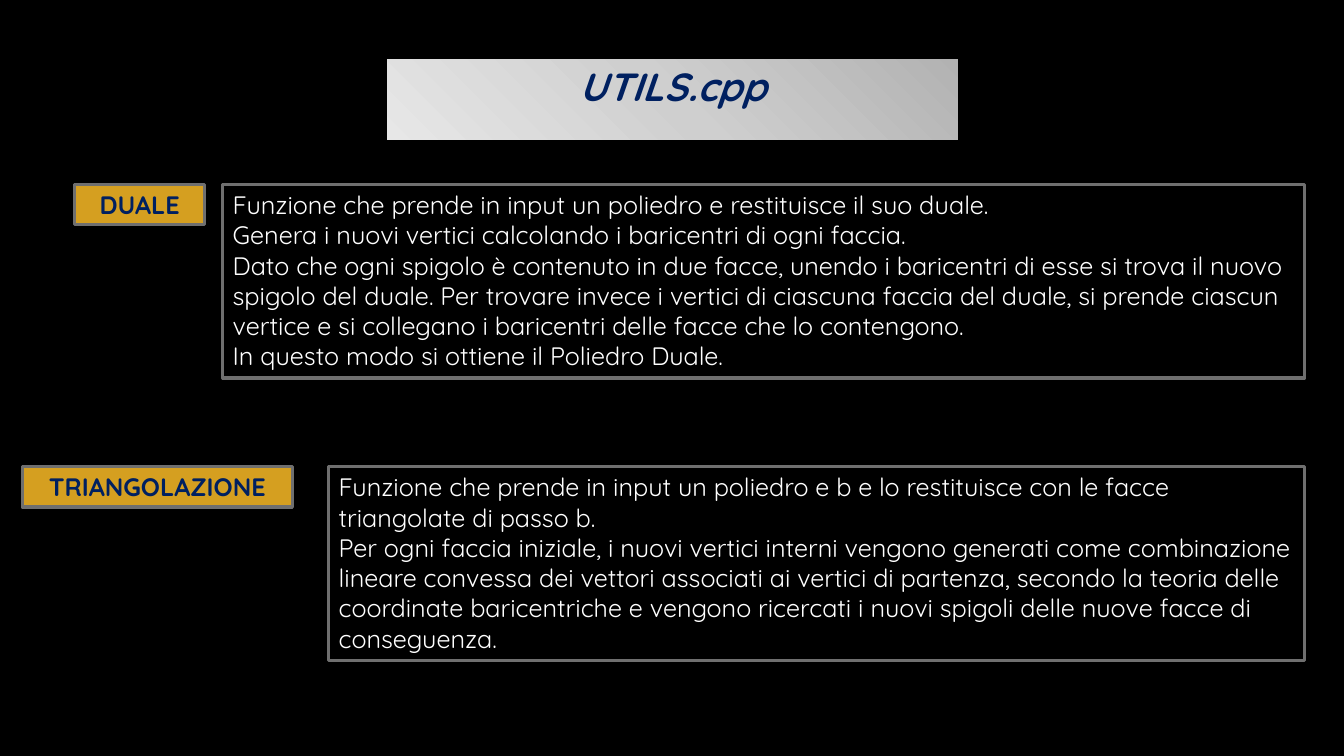
from copy import deepcopy
from dataclasses import dataclass

from pptx import Presentation
from pptx.dml.color import RGBColor
from pptx.enum.text import MSO_ANCHOR, MSO_AUTO_SIZE, PP_ALIGN
from pptx.util import Inches, Pt

TITLE = "UTILS.cpp"
FUNCTIONS = [
    {
        "name": "DUALE",
        "top": 1.83,
        "label": (0.74, 1.29),
        "description_left": 2.21,
        "description": [
            "Funzione che prende in input un poliedro e restituisce il suo duale.",
            "Genera i nuovi vertici calcolando i baricentri di ogni faccia.",
            "Dato che ogni spigolo è contenuto in due facce, unendo i baricentri di esse "
            "si trova il nuovo spigolo del duale. Per trovare invece i vertici di ciascuna "
            "faccia del duale, si prende ciascun vertice e si collegano i baricentri delle "
            "facce che lo contengono.",
            "In questo modo si ottiene il Poliedro Duale.",
        ],
    },
    {
        "name": "TRIANGOLAZIONE",
        "top": 4.63,
        "label": (0.22, 2.68),
        "description_left": 3.26,
        "description": [
            "Funzione che prende in input un poliedro e b e lo restituisce con le facce "
            "triangolate di passo b.",
            "Per ogni faccia iniziale, i nuovi vertici interni vengono generati come "
            "combinazione lineare convessa dei vettori associati ai vertici di partenza, "
            "secondo la teoria delle coordinate baricentriche e vengono ricercati i nuovi "
            "spigoli delle nuove facce di conseguenza.",
        ],
    },
]
DESCRIPTION_RIGHT = 12.94
LABEL_HEIGHT = 0.4
DESCRIPTION_HEIGHT = 1.92


@dataclass(frozen=True)
class Theme:
    font: str = "Quicksand"
    background: str = "000000"
    navy: str = "002060"
    gold: str = "D59F20"
    border: str = "6F6F6F"
    white: str = "FFFFFF"
    silver: tuple = ("B2B2B2", "CFCFCF", "E7E7E7")
    title_size: int = 28
    body_size: int = 18
    line_width: float = 2.25


THEME = Theme()


def color(value):
    return RGBColor.from_string(value)


def write_text(shape, paragraphs, *, size=THEME.body_size, text_color=THEME.white,
               bold=False, italic=False, align=PP_ALIGN.LEFT):
    frame = shape.text_frame
    frame.word_wrap = True
    frame.auto_size = MSO_AUTO_SIZE.SHAPE_TO_FIT_TEXT
    frame.vertical_anchor = MSO_ANCHOR.TOP
    for index, text in enumerate(paragraphs):
        paragraph = frame.add_paragraph() if index else frame.paragraphs[0]
        paragraph.alignment = align
        run = paragraph.add_run()
        run.text = text
        font = run.font
        font.name, font.size = THEME.font, Pt(size)
        font.bold, font.italic = bold, italic
        font.color.rgb = color(text_color)


def outline(shape, line_color):
    shape.line.color.rgb = color(line_color)
    shape.line.width = Pt(THEME.line_width)


def add_box(slide, left, top, width, height, fill=None):
    box = slide.shapes.add_textbox(Inches(left), Inches(top), Inches(width), Inches(height))
    if fill:
        box.fill.solid()
        box.fill.fore_color.rgb = color(fill)
    outline(box, THEME.border)
    return box


def fill_silver(shape):
    fill = shape.fill
    fill.gradient()
    fill.gradient_angle = 225
    stop_list = shape.element.spPr.find(".//{*}gsLst")
    stop_list.insert(1, deepcopy(stop_list[0]))
    for index, (stop, value) in enumerate(zip(fill.gradient_stops, THEME.silver)):
        stop.position = index / 2
        stop.color.rgb = color(value)


def format_title(title):
    title.left, title.top = Inches(3.82), Inches(0.57)
    title.width, title.height = Inches(5.7), Inches(0.57)
    fill_silver(title)
    outline(title, THEME.background)
    write_text(title, [TITLE], size=THEME.title_size, text_color=THEME.navy,
               bold=True, italic=True, align=PP_ALIGN.CENTER)


def add_function(slide, function):
    top = function["top"]
    label_left, label_width = function["label"]
    label = add_box(slide, label_left, top, label_width, LABEL_HEIGHT, THEME.gold)
    write_text(label, [function["name"]], text_color=THEME.navy, bold=True,
               align=PP_ALIGN.CENTER)
    left = function["description_left"]
    description = add_box(slide, left, top, DESCRIPTION_RIGHT - left, DESCRIPTION_HEIGHT)
    write_text(description, function["description"])


def main():
    """Build the slide describing the functions of UTILS.cpp."""
    presentation = Presentation()
    presentation.slide_width, presentation.slide_height = Inches(13.33), Inches(7.5)
    slide = presentation.slides.add_slide(presentation.slide_layouts[5])
    slide.background.fill.solid()
    slide.background.fill.fore_color.rgb = color(THEME.background)
    format_title(slide.shapes.title)
    for function in FUNCTIONS:
        add_function(slide, function)
    presentation.save("out.pptx")


if __name__ == "__main__":
    main()
